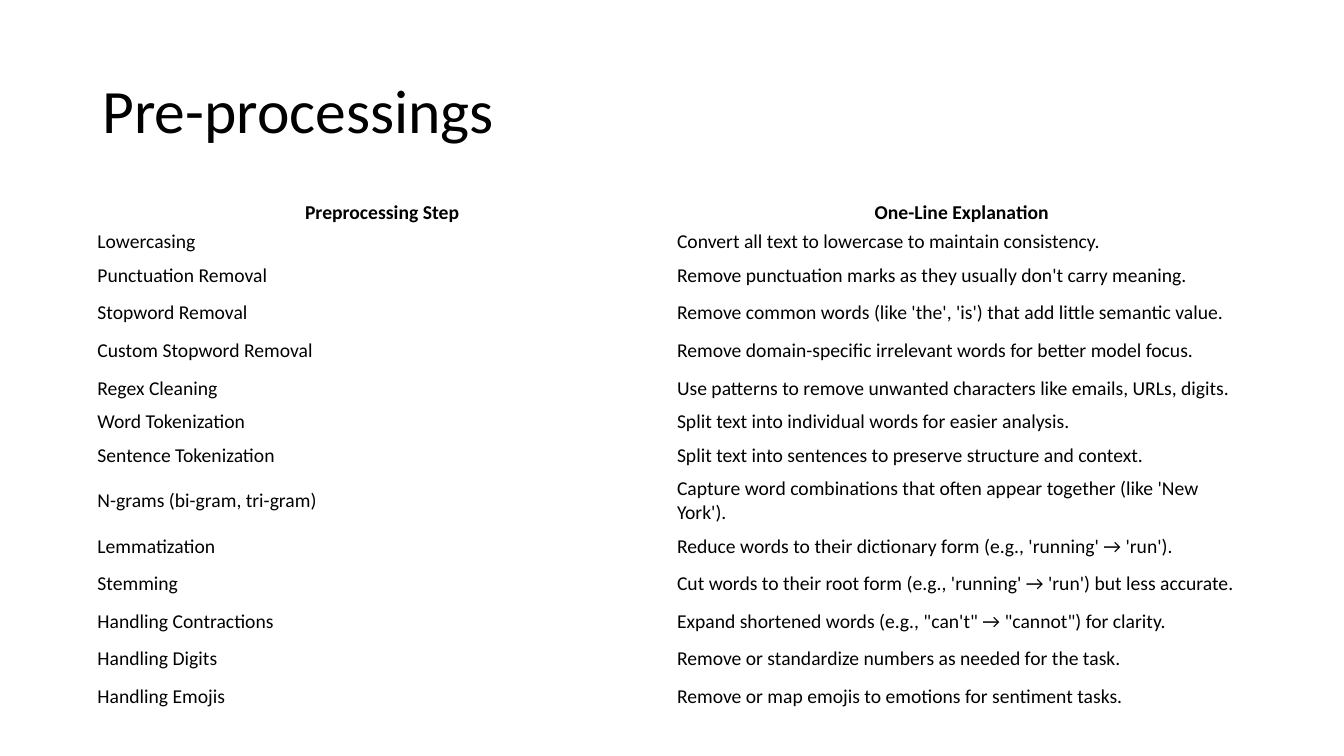
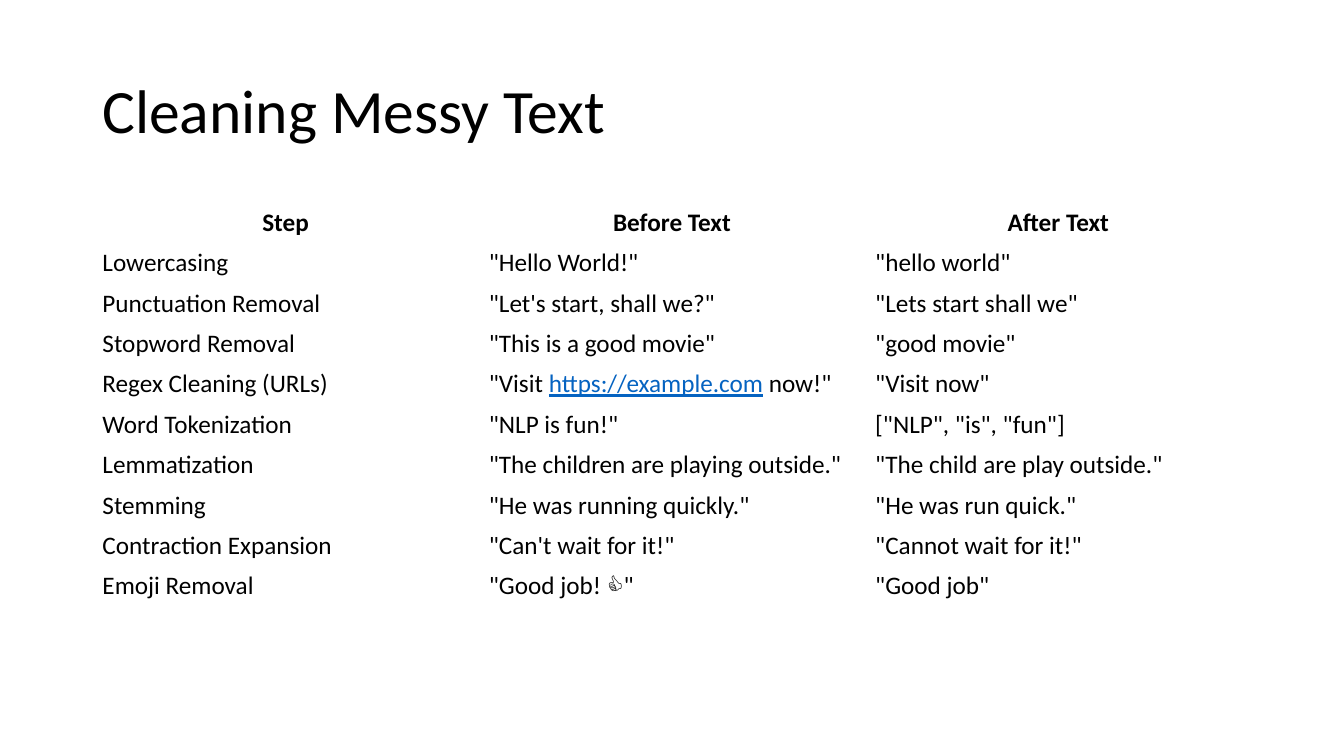
import pptx
import pptx.dml.color
import pptx.enum.text
import pptx.util

COLORS = {"background": "FFFFFF", "text": "000000", "link": "0563C1"}
FONT = "Calibri"
GRID_COLUMNS, GRID_ROWS = 160, 90
MARGIN, CONTENT_WIDTH = 11, 138
LINK = "https://example.com"


def color(name):
    return pptx.dml.color.RGBColor.from_string(COLORS[name])


class Deck:
    """Holds the shared style and the slide being filled."""

    def __init__(self):
        self.presentation = pptx.Presentation()
        self.presentation.slide_width = pptx.util.Inches(13.333)
        self.presentation.slide_height = pptx.util.Inches(7.5)
        self.slide = None

    def across(self, columns):
        return round(self.presentation.slide_width * columns / GRID_COLUMNS)

    def down(self, rows):
        return round(self.presentation.slide_height * rows / GRID_ROWS)

    def add_slide(self, title):
        self.slide = self.presentation.slides.add_slide(self.presentation.slide_layouts[6])
        fill = self.slide.background.fill
        fill.solid()
        fill.fore_color.rgb = color("background")
        self.add_title(title)

    def add_run(self, paragraph, text, size, bold=False):
        run = paragraph.add_run()
        run.text = text
        run.font.name = FONT
        run.font.size = pptx.util.Pt(size)
        run.font.bold = bold
        run.font.underline = text == LINK
        run.font.color.rgb = color("link" if text == LINK else "text")

    def add_title(self, text):
        shape = self.slide.shapes.add_textbox(
            self.across(MARGIN), self.down(4.8), self.across(CONTENT_WIDTH), self.down(17.4))
        frame = shape.text_frame
        frame.word_wrap = True
        frame.vertical_anchor = pptx.enum.text.MSO_ANCHOR.MIDDLE
        paragraph = frame.paragraphs[0]
        paragraph.line_spacing = 0.9
        self.add_run(paragraph, text, 44)

    def add_table(self, top, rows, heights, size, insets=(0.1, 0.05)):
        """Place a plain table with a centred bold header; a tuple cell holds several runs."""
        column_count = len(rows[0])
        table = self.slide.shapes.add_table(
            len(rows), column_count, self.across(MARGIN), self.down(top),
            self.across(CONTENT_WIDTH), self.down(sum(heights))).table
        table.first_row = table.horz_banding = False
        for column in table.columns:
            column.width = self.across(CONTENT_WIDTH / column_count)
        for row_index, (texts, height) in enumerate(zip(rows, heights)):
            table.rows[row_index].height = self.down(height)
            for column_index, text in enumerate(texts):
                cell = table.cell(row_index, column_index)
                self.fill_cell(cell, text, size, insets, row_index == 0)

    def fill_cell(self, cell, text, size, insets, header):
        cell.fill.background()
        cell.vertical_anchor = pptx.enum.text.MSO_ANCHOR.MIDDLE
        cell.margin_left = cell.margin_right = pptx.util.Inches(insets[0])
        cell.margin_top = cell.margin_bottom = pptx.util.Inches(insets[1])
        paragraph = cell.text_frame.paragraphs[0]
        alignment = pptx.enum.text.PP_ALIGN
        paragraph.alignment = alignment.CENTER if header else alignment.LEFT
        for part in text if isinstance(text, tuple) else (text,):
            self.add_run(paragraph, part, size, header)


# Table contents, header first
PREPROCESSING_STEPS = [
    ("Preprocessing Step", "One-Line Explanation"),
    ("Lowercasing", "Convert all text to lowercase to maintain consistency."),
    ("Punctuation Removal", "Remove punctuation marks as they usually don't carry meaning."),
    ("Stopword Removal",
     "Remove common words (like 'the', 'is') that add little semantic value."),
    ("Custom Stopword Removal",
     "Remove domain-specific irrelevant words for better model focus."),
    ("Regex Cleaning", "Use patterns to remove unwanted characters like emails, URLs, digits."),
    ("Word Tokenization", "Split text into individual words for easier analysis."),
    ("Sentence Tokenization", "Split text into sentences to preserve structure and context."),
    ("N-grams (bi-gram, tri-gram)",
     "Capture word combinations that often appear together (like 'New York')."),
    ("Lemmatization", "Reduce words to their dictionary form (e.g., 'running' → 'run')."),
    ("Stemming", "Cut words to their root form (e.g., 'running' → 'run') but less accurate."),
    ("Handling Contractions",
     "Expand shortened words (e.g., \"can't\" → \"cannot\") for clarity."),
    ("Handling Digits", "Remove or standardize numbers as needed for the task."),
    ("Handling Emojis", "Remove or map emojis to emotions for sentiment tasks."),
]
CLEANING_EXAMPLES = [
    ("Step", "Before Text", "After Text"),
    ("Lowercasing", '"Hello World!"', '"hello world"'),
    ("Punctuation Removal", '"Let\'s start, shall we?"', '"Lets start shall we"'),
    ("Stopword Removal", '"This is a good movie"', '"good movie"'),
    ("Regex Cleaning (URLs)", ('"Visit ', LINK, ' now!"'), '"Visit now"'),
    ("Word Tokenization", '"NLP is fun!"', '["NLP", "is", "fun"]'),
    ("Lemmatization", '"The children are playing outside."', '"The child are play outside."'),
    ("Stemming", '"He was running quickly."', '"He was run quick."'),
    ("Contraction Expansion", '"Can\'t wait for it!"', '"Cannot wait for it!"'),
    ("Emoji Removal", '"Good job! 👍"', '"Good job"'),
]

# Row heights in grid rows
COMPACT, REGULAR, TWO_LINES = 3.45, 4.48, 6.3
SPECIAL_HEIGHTS = {"Preprocessing Step": COMPACT, "Lowercasing": COMPACT,
                   "Word Tokenization": COMPACT, "N-grams (bi-gram, tri-gram)": TWO_LINES}


def main():
    deck = Deck()

    # Steps and their explanations
    deck.add_slide("Pre-processings")
    heights = [SPECIAL_HEIGHTS.get(step, REGULAR) for step, _ in PREPROCESSING_STEPS]
    deck.add_table(23.5, PREPROCESSING_STEPS, heights, 14, (0.05, 0.03))

    # Examples before and after each step
    deck.add_slide("Cleaning Messy Text")
    deck.add_table(24.1, CLEANING_EXAMPLES, [4.8] * len(CLEANING_EXAMPLES), 18)

    deck.presentation.save("out.pptx")


if __name__ == "__main__":
    main()
